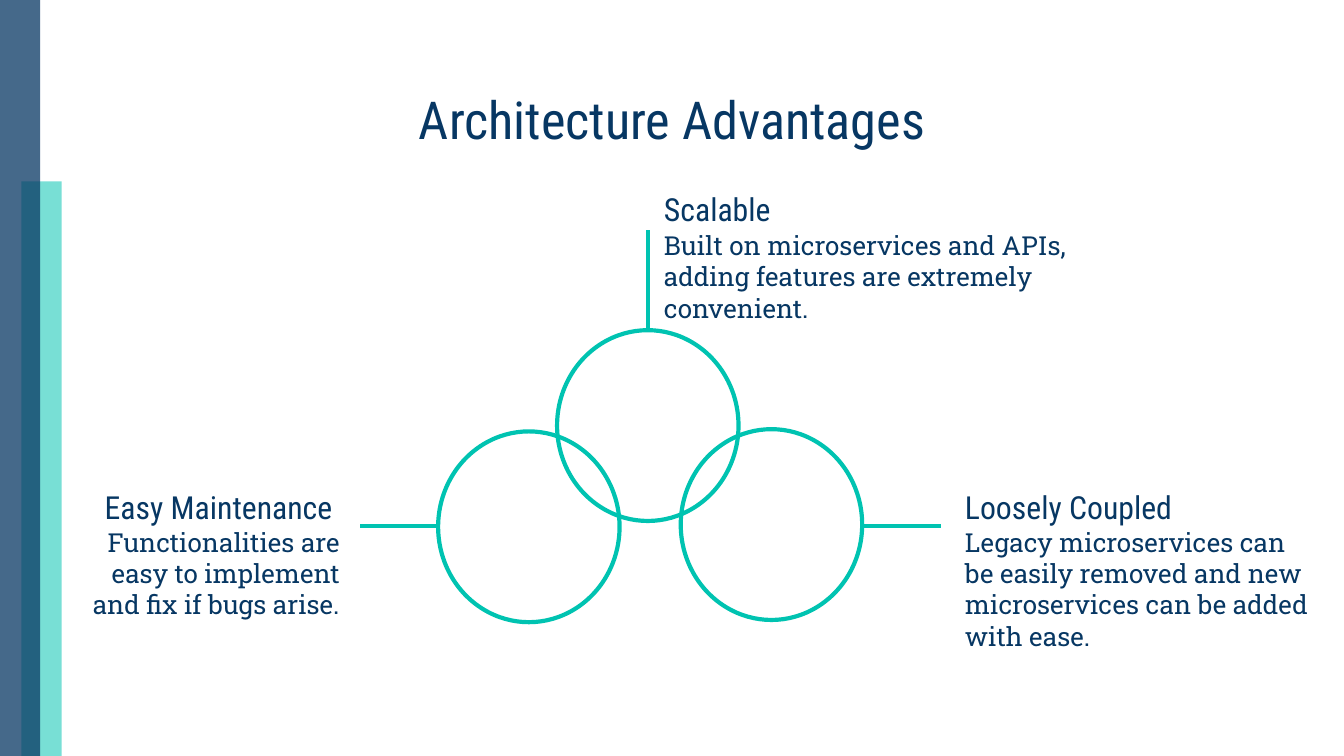
import pptx
import pptx.dml.color
import pptx.enum.shapes
import pptx.enum.text
import pptx.oxml.ns
import pptx.util
from lxml import etree

COLORS = {"navy": "073763", "teal": "00C3B1"}
HEADING_FONT, BODY_FONT = "Roboto Condensed", "Roboto Slab"
WIDTH, HEIGHT = pptx.util.Inches(10), pptx.util.Inches(5.625)
RING_W, RING_H = 13.5, 25.24
LINE_WIDTH = 2.25
ALIGN = pptx.enum.text.PP_ALIGN
SHAPE = pptx.enum.shapes.MSO_SHAPE


def across(percent):
    """Return a length as a percentage of the slide width."""
    return round(WIDTH * percent / 100)


def down(percent):
    """Return a length as a percentage of the slide height."""
    return round(HEIGHT * percent / 100)


def area(left, top, width, height):
    """Return a rectangle given in percentages of the slide."""
    return across(left), down(top), across(width), down(height)


def rgb(color):
    """Return the named colour."""
    return pptx.dml.color.RGBColor.from_string(COLORS[color])


def add_band(slide, box, color, opacity):
    """Add a translucent side band."""
    band = slide.shapes.add_shape(SHAPE.RECTANGLE, *area(*box))
    band.shadow.inherit = False
    band.line.fill.background()
    band.fill.solid()
    band.fill.fore_color.rgb = rgb(color)
    tint = band.fill._xPr.find(".//" + pptx.oxml.ns.qn("a:srgbClr"))
    etree.SubElement(tint, pptx.oxml.ns.qn("a:alpha"), val=str(opacity * 1000))


def add_ring(slide, center_x, center_y):
    """Add an outlined circle around a centre point."""
    box = area(center_x - RING_W / 2, center_y - RING_H / 2, RING_W, RING_H)
    ring = slide.shapes.add_shape(SHAPE.OVAL, *box)
    ring.shadow.inherit = False
    ring.fill.background()
    ring.line.color.rgb = rgb("teal")
    ring.line.width = pptx.util.Pt(LINE_WIDTH)


def add_leader(slide, start, end):
    """Add a straight line from a ring towards its text."""
    leader = slide.shapes.add_connector(
        pptx.enum.shapes.MSO_CONNECTOR.STRAIGHT,
        across(start[0]), down(start[1]), across(end[0]), down(end[1]))
    leader.line.color.rgb = rgb("teal")
    leader.line.width = pptx.util.Pt(LINE_WIDTH)
    properties = leader._element.spPr
    etree.SubElement(properties, pptx.oxml.ns.qn("a:effectLst"))


def add_frame(slide, box, side_inset, top_inset):
    """Add an empty wrapping text frame."""
    frame = slide.shapes.add_textbox(*area(*box)).text_frame
    frame.word_wrap = True
    frame.margin_left = frame.margin_right = pptx.util.Inches(side_inset)
    frame.margin_top = pptx.util.Inches(top_inset)
    frame.margin_bottom = pptx.util.Inches(side_inset)
    return frame


def write(paragraph, text, size, font, align):
    """Write one styled run into a paragraph."""
    paragraph.alignment = align
    run = paragraph.add_run()
    run.text = text
    run.font.size = pptx.util.Pt(size)
    run.font.name = font
    run.font.color.rgb = rgb("navy")


def add_title(slide, text):
    """Add the centred slide title."""
    frame = add_frame(slide, (21.5, 6.58, 57, 18.31), 0.1, 0.1)
    frame.vertical_anchor = pptx.enum.text.MSO_ANCHOR.MIDDLE
    write(frame.paragraphs[0], text, 28, HEADING_FONT, ALIGN.CENTER)


def add_advantage(slide, box, heading, detail, align=ALIGN.LEFT, gap=0):
    """Add an advantage heading with its explanation."""
    frame = add_frame(slide, box, 0, 0.01)
    write(frame.paragraphs[0], heading, 17, HEADING_FONT, align)
    explanation = frame.add_paragraph()
    explanation.space_before = pptx.util.Pt(gap)
    write(explanation, detail, 14, BODY_FONT, align)


def main():
    """Build and save the slide."""
    deck = pptx.Presentation()
    deck.slide_width, deck.slide_height = WIDTH, HEIGHT
    slide = deck.slides.add_slide(deck.slide_layouts[6])

    add_band(slide, (1.6, 24, 3, 76), "teal", 53)
    add_band(slide, (0, 0, 3, 100), "navy", 75)
    add_title(slide, "Architecture Advantages")

    add_advantage(
        slide, (49.4, 24.89, 33.4, 8.89), "Scalable",
        "Built on microservices and APIs, adding features are extremely "
        "convenient.", gap=1)
    add_advantage(
        slide, (71.8, 64.36, 25.7, 11.38), "Loosely Coupled",
        "Legacy microservices can be easily removed and new microservices "
        "can be added with ease.")
    add_advantage(
        slide, (5, 64.36, 20.3, 11.38), "Easy Maintenance ",
        "Functionalities are easy to implement and fix if bugs arise.",
        ALIGN.RIGHT)

    for center in ((39.35, 69.69), (48.2, 56.3), (57.4, 69.4)):
        add_ring(slide, *center)
    for start, end in (((32.6, 69.6), (26.8, 69.6)),
                       ((48.2, 43.6), (48.2, 30.4)),
                       ((64.2, 69.6), (70, 69.6))):
        add_leader(slide, start, end)

    deck.save("out.pptx")


if __name__ == "__main__":
    main()
